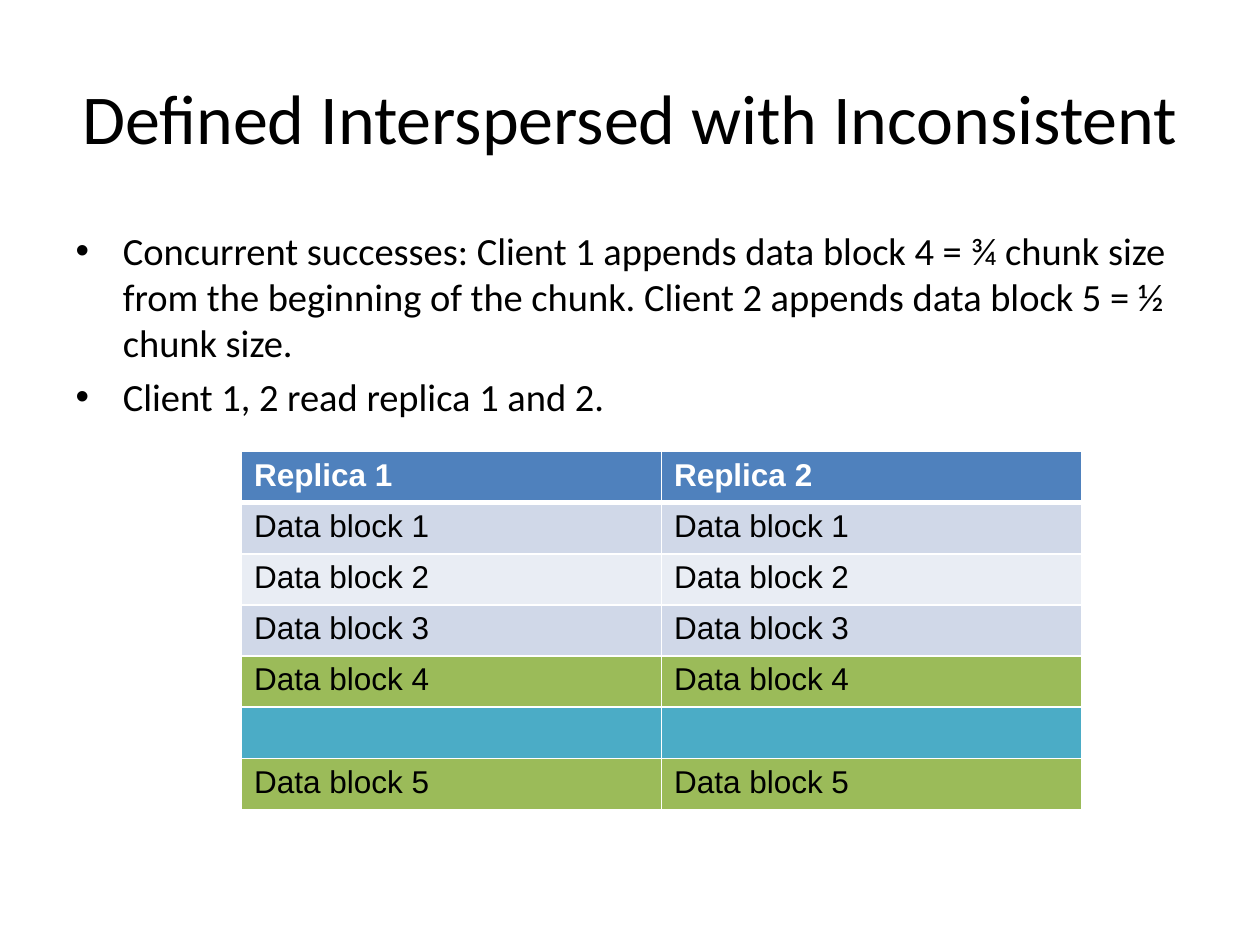
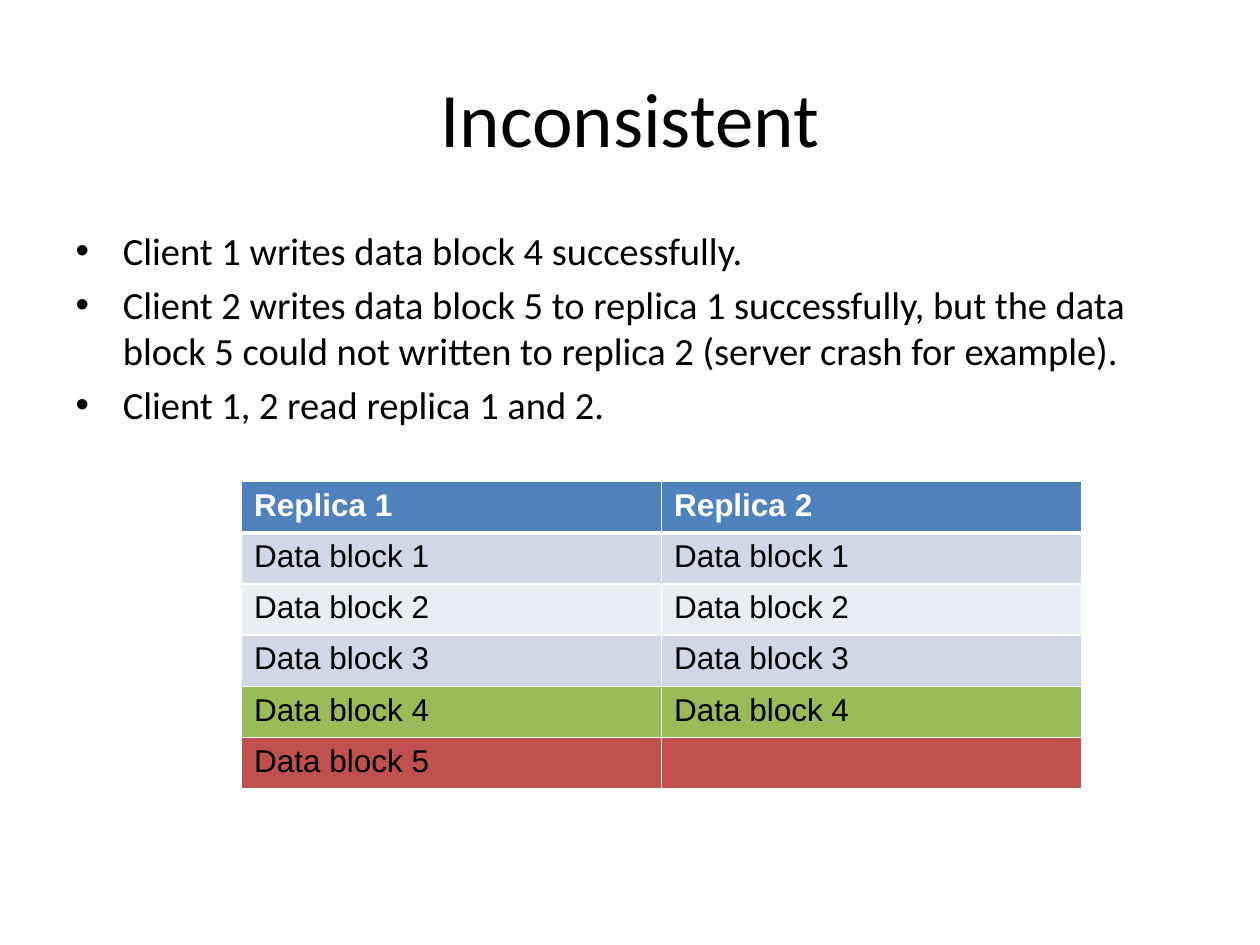
from dataclasses import dataclass

from lxml.etree import SubElement as Sub
from pptx import Presentation
from pptx.dml.color import RGBColor as RGB
from pptx.enum.text import MSO_ANCHOR as Anchor, MSO_AUTO_SIZE as AutoSize, PP_ALIGN as Align
from pptx.oxml.ns import qn
from pptx.util import Pt

PX = 9525  # EMU in one px, 96 px to the inch


@dataclass(frozen=True)
class Theme:
    text: str = "000000"
    white: str = "FFFFFF"
    header: str = "4F81BD"
    bands: tuple = ("D0D8E8", "E9EDF4")
    done: str = "9BBB59"
    padding: str = "4BACC6"
    failed: str = "C0504D"
    text_font: str = "Calibri"
    table_font: str = "Arial"
    title_size: int = 44
    long_title_size: int = 40
    body_size: int = 22
    table_size: int = 18
    bullet_gap: float = 4.4
    rule: int = 1
    header_rule: int = 3


class Deck:
    def __init__(self, theme):
        self.theme = theme
        self.prs = Presentation()
        self.prs.slide_width, self.prs.slide_height = 960 * PX, 720 * PX
        self.s = None

    def place(self, sp, x, y, w, h):
        sp.left, sp.top, sp.width, sp.height = (v * PX for v in (x, y, w, h))

    def run(self, p, text, size, font, color, bold=False):
        r = p.add_run()
        r.text = text
        r.font.size, r.font.name, r.font.bold = Pt(size), font, bold
        r.font.color.rgb = RGB.from_string(color)

    def slide(self):
        self.s = self.prs.slides.add_slide(self.prs.slide_layouts[1])
        self.s.background.fill.solid()
        self.s.background.fill.fore_color.rgb = RGB.from_string(self.theme.white)

    def title(self, text, size):
        t, sp = self.theme, self.s.shapes.title
        self.place(sp, 48, 29, 864, 120)
        tf = sp.text_frame
        tf.auto_size, tf.vertical_anchor = AutoSize.NONE, Anchor.MIDDLE
        p = tf.paragraphs[0]
        p.alignment = Align.CENTER
        self.run(p, text, size, t.text_font, t.text)

    def bullets(self, items):
        t, sp = self.theme, self.s.placeholders[1]
        self.place(sp, 48, 168, 864, 475)
        tf = sp.text_frame
        tf.auto_size = AutoSize.NONE
        for i, text in enumerate(items):
            p = tf.add_paragraph() if i else tf.paragraphs[0]
            pPr = p._p.get_or_add_pPr()
            pPr.set("marL", str(36 * PX))
            pPr.set("indent", str(-36 * PX))
            Sub(pPr, qn("a:buFont"), typeface="Arial")
            Sub(pPr, qn("a:buChar"), char="•")
            p.space_before = Pt(t.bullet_gap if i else 0)
            self.run(p, text, t.body_size, t.text_font, t.text)

    def border(self, cell, side, width):
        ln = Sub(cell._tc.get_or_add_tcPr(), qn("a:ln" + side), w=str(Pt(width)))
        Sub(Sub(ln, qn("a:solidFill")), qn("a:srgbClr"), val=self.theme.white)

    def replica_table(self, y, rows):
        """Each row is (fill, texts); the first row is the header."""
        t, col_w, row_h = self.theme, 320, 39
        n_cols = len(rows[0][1])
        frame = self.s.shapes.add_table(len(rows), n_cols, 184 * PX, y * PX,
                                        n_cols * col_w * PX, len(rows) * row_h * PX)
        for i, (fill, texts) in enumerate(rows):
            for j, text in enumerate(texts):
                cell = frame.table.cell(i, j)
                # Side rules, then the heavier one under the header
                for side, heavy in (("L", False), ("R", False), ("T", i == 1), ("B", i == 0)):
                    self.border(cell, side, t.header_rule if heavy else t.rule)
                cell.fill.solid()
                cell.fill.fore_color.rgb = RGB.from_string(fill)
                p = cell.text_frame.paragraphs[0]
                if text:
                    self.run(p, text, t.table_size, t.table_font,
                             t.text if i else t.white, bold=i == 0)
                else:
                    p.font.size = Pt(t.table_size)


def block(n):
    return f"Data block {n}"


def main():
    theme = Theme()
    deck = Deck(theme)
    read_both = "Client 1, 2 read replica 1 and 2."

    # Rows that both tables begin with: header, blocks 1 to 3, block 4 written
    shared = [(theme.header, ("Replica 1", "Replica 2"))]
    shared += [(theme.bands[(n - 1) % 2], (block(n),) * 2) for n in range(1, 4)]
    shared.append((theme.done, (block(4),) * 2))

    # Concurrent appends with padding between them
    deck.slide()
    deck.title("Defined Interspersed with Inconsistent", theme.long_title_size)
    deck.bullets([
        "Concurrent successes: Client 1 appends data block 4 = ¾ chunk size from the "
        "beginning of the chunk. Client 2 appends data block 5 = ½ chunk size.",
        read_both,
    ])
    deck.replica_table(344, shared + [(theme.padding, ("", "")), (theme.done, (block(5),) * 2)])

    # A write that fails on one replica
    deck.slide()
    deck.title("Inconsistent", theme.title_size)
    deck.bullets([
        "Client 1 writes data block 4 successfully.",
        "Client 2 writes data block 5 to replica 1 successfully, but the data block 5 "
        "could not written to replica 2 (server crash for example).",
        read_both,
    ])
    deck.replica_table(367, shared + [(theme.failed, (block(5), ""))])

    deck.prs.save("out.pptx")


if __name__ == "__main__":
    main()
